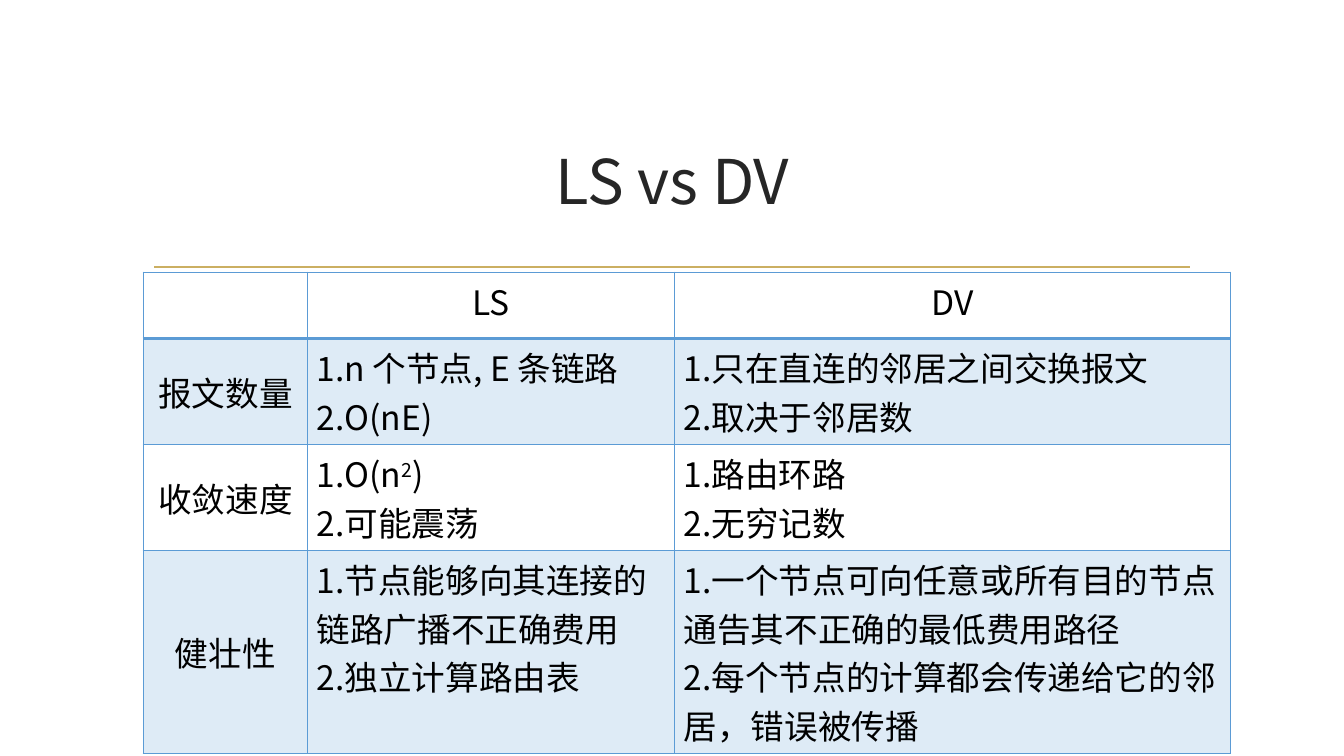
import pptx
import pptx.util
import pptx.dml.color
import pptx.enum.shapes
import pptx.enum.text
import pptx.oxml
import pptx.oxml.ns
from pptx.util import Cm

FONT = "Noto Sans CJK SC"
BLUE = "5B9BD5"
NS = pptx.oxml.ns.nsdecls("a")
CENTER = pptx.enum.text.PP_ALIGN.CENTER
LEFT = pptx.enum.text.PP_ALIGN.LEFT
MIDDLE = pptx.enum.text.MSO_ANCHOR.MIDDLE
TOP = pptx.enum.text.MSO_ANCHOR.TOP


def rgb(color):
    return pptx.dml.color.RGBColor.from_string(color)


def write(tf, text, size=24, color="000000", align=LEFT):
    for i, line in enumerate(text.split("\n")):
        p = tf.paragraphs[0] if i == 0 else tf.add_paragraph()
        p.alignment = align
        for j, part in enumerate(line.split("^")):
            r = p.add_run()
            r.text = part
            r.font.size = pptx.util.Pt(size)
            r.font.name = FONT
            r.font.color.rgb = rgb(color)
            rPr = r._r.get_or_add_rPr()
            rPr.find(pptx.oxml.ns.qn("a:latin")).addnext(
                pptx.oxml.parse_xml(f'<a:ea {NS} typeface="{FONT}"/>'))
            if j % 2:
                rPr.set("baseline", "30000")


prs = pptx.Presentation()
prs.slide_width = Cm(33.87)
prs.slide_height = Cm(19.05)
s = prs.slides.add_slide(prs.slide_layouts[6])

rule = s.shapes.add_connector(
    pptx.enum.shapes.MSO_CONNECTOR.STRAIGHT, Cm(3.89), Cm(6.73), Cm(30), Cm(6.73))
rule.line.color.rgb = rgb("CBAF62")
rule.line.width = pptx.util.Pt(1.25)
rule._element.spPr.append(pptx.oxml.parse_xml(f"<a:effectLst {NS}/>"))

title = s.shapes.add_textbox(Cm(3.61), Cm(2.72), Cm(26.67), Cm(3.63))
tf = title.text_frame
tf.word_wrap = True
tf.vertical_anchor = MIDDLE
write(tf, "LS vs DV", size=44, color="262626", align=CENTER)

rows = [
    ["", "LS", "DV"],
    ["报文数量", "1.n 个节点, E 条链路\n2.O(nE)",
     "1.只在直连的邻居之间交换报文\n2.取决于邻居数"],
    ["收敛速度", "1.O(n^2^)\n2.可能震荡", "1.路由环路\n2.无穷记数"],
    ["健壮性", "1.节点能够向其连接的链路广播不正确费用\n2.独立计算路由表",
     "1.一个节点可向任意或所有目的节点通告其不正确的最低费用路径\n"
     "2.每个节点的计算都会传递给它的邻居，错误被传播"],
]
widths = [4.14, 9.25, 14]
heights = [1.67, 2.67, 2.67, 5.12]

frame = s.shapes.add_table(
    len(rows), len(widths), Cm(3.61), Cm(6.86), Cm(sum(widths)), Cm(sum(heights)))
table = frame.table
table.first_row = False
table.horz_banding = False
for column, width in zip(table.columns, widths):
    column.width = Cm(width)
for row, height in zip(table.rows, heights):
    row.height = Cm(height)

for i, texts in enumerate(rows):
    for j, text in enumerate(texts):
        cell = table.cell(i, j)
        cell.margin_left = cell.margin_right = Cm(0.23)
        cell.margin_top = cell.margin_bottom = Cm(0.1)
        cell.vertical_anchor = MIDDLE if i and j == 0 else TOP
        if text:
            write(cell.text_frame, text, align=CENTER if i == 0 or j == 0 else LEFT)
        tcPr = cell._tc.get_or_add_tcPr()
        if i % 2:
            cell.fill.solid()
            cell.fill.fore_color.rgb = rgb(BLUE)
            tcPr.find(".//" + pptx.oxml.ns.qn("a:srgbClr")).append(
                pptx.oxml.parse_xml(f'<a:alpha {NS} val="20000"/>'))
        else:
            cell.fill.background()
        for k, side in enumerate("LRTB"):
            thick = (i, side) in [(0, "B"), (1, "T")]
            tcPr.insert(k, pptx.oxml.parse_xml(
                f'<a:ln{side} {NS} w="{pptx.util.Pt(2 if thick else 1)}"><a:solidFill>'
                f'<a:srgbClr val="{BLUE}"/></a:solidFill></a:ln{side}>'))

prs.save("out.pptx")
